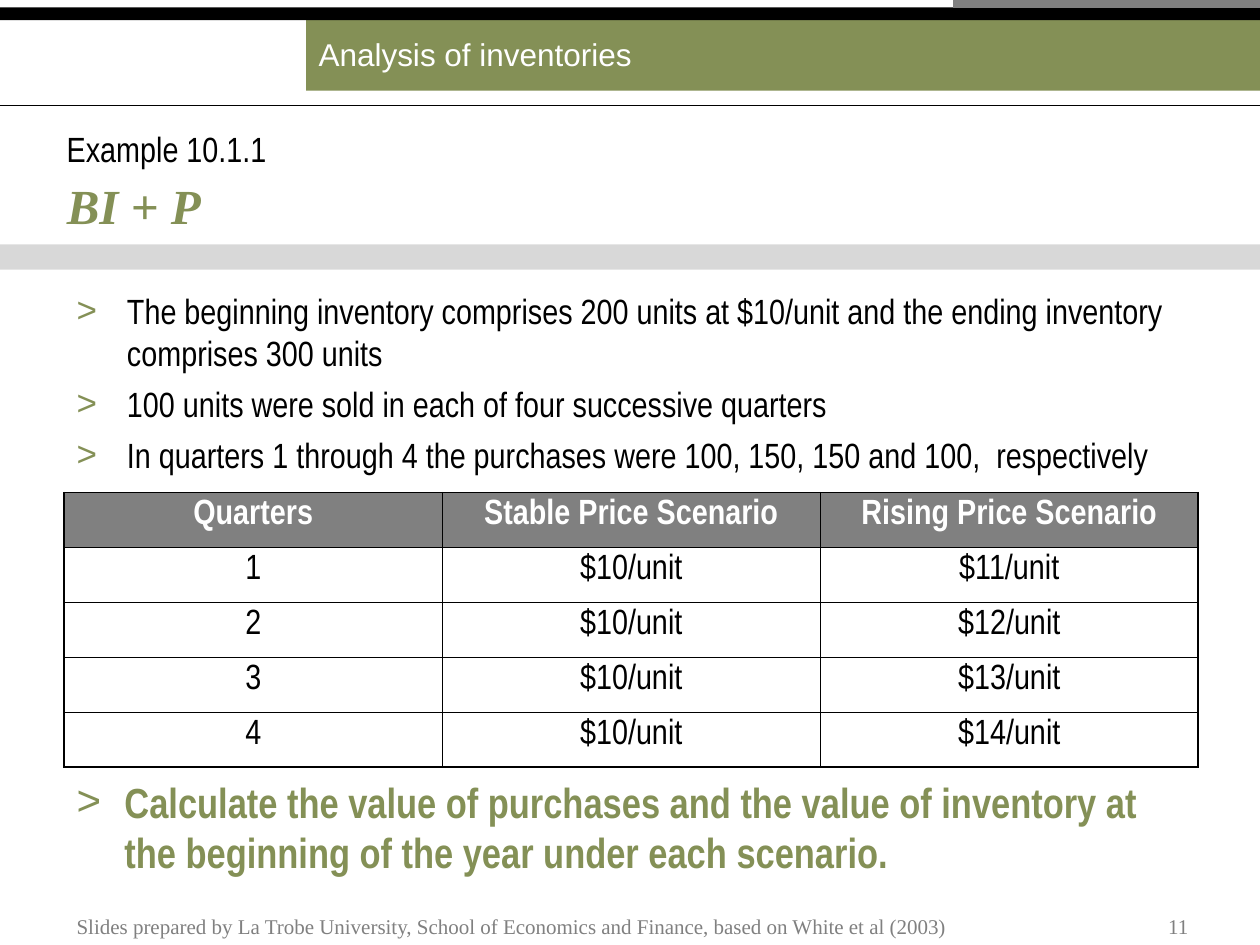
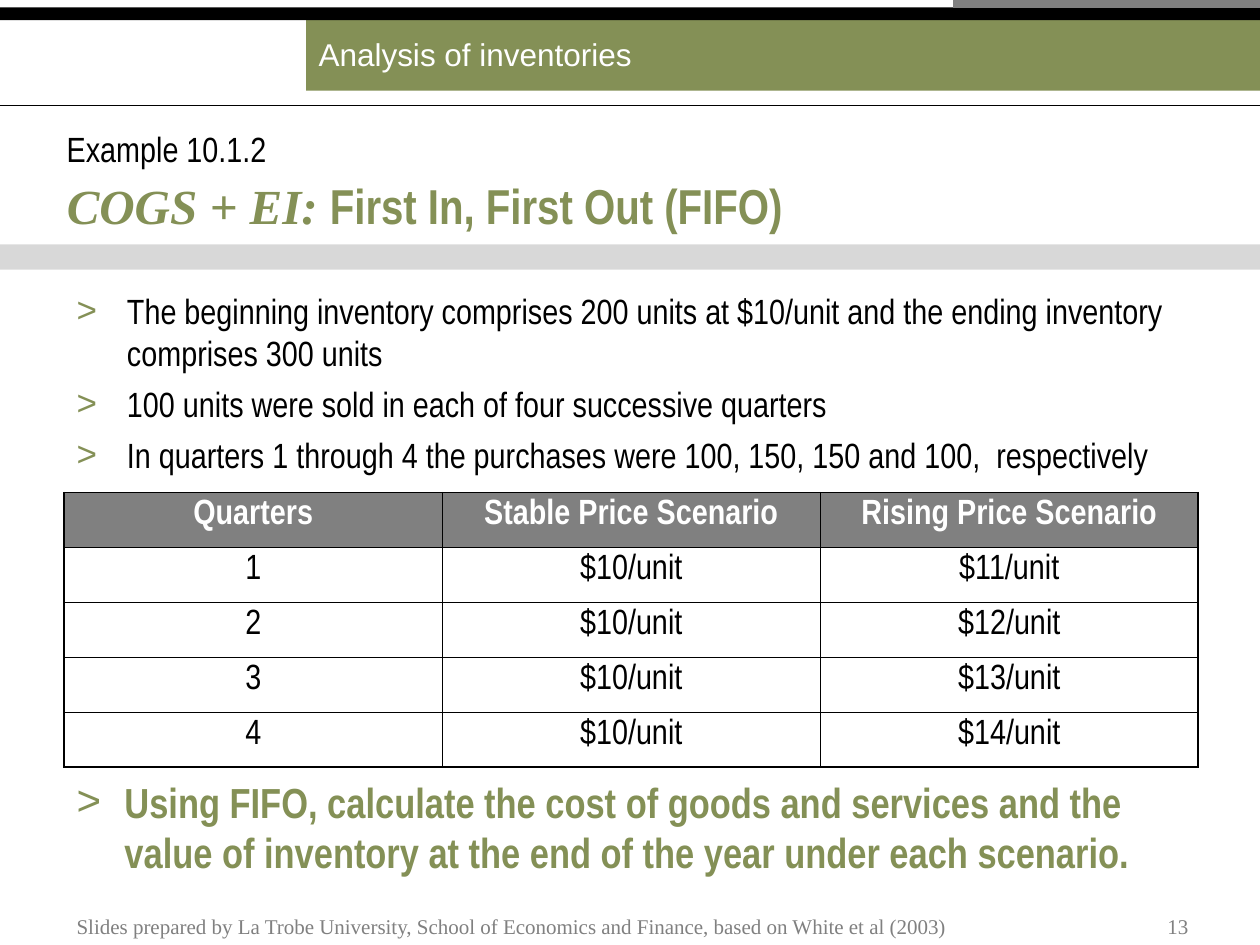
from dataclasses import dataclass

from lxml import etree
from pptx import Presentation
from pptx import util as u
from pptx.dml.color import RGBColor
from pptx.enum import shapes, text
from pptx.oxml import ns

# Content
HEADER = "Analysis of inventories"
FOOTER = ("Slides prepared by La Trobe University, School of Economics and "
          "Finance, based on White et al (2003)")
FACTS = [
    "The beginning inventory comprises 200 units at $10/unit and the ending "
    "inventory comprises 300 units",
    "100 units were sold in each of four successive quarters",
    "In quarters 1 through 4 the purchases were 100, 150, 150 and 100,  respectively",
]
PRICES = [
    ("Quarters", "Stable Price Scenario", "Rising Price Scenario"),
    ("1", "$10/unit", "$11/unit"),
    ("2", "$10/unit", "$12/unit"),
    ("3", "$10/unit", "$13/unit"),
    ("4", "$10/unit", "$14/unit"),
]
# Title runs are (words, style name)
EXAMPLES = [
    dict(label="Example 10.1.1", title=[("BI + P", "formula")], number="11",
         question="Calculate the value of purchases and the value of inventory "
                  "at the beginning of the year under each scenario."),
    dict(label="Example 10.1.2", number="13",
         title=[("COGS + EI: ", "formula"), ("First In, First Out (FIFO)", "title")],
         question="Using FIFO, calculate the cost of goods and services and the "
                  "value of inventory at the end of the year under each scenario."),
]


# Theme
@dataclass
class Style:
    size: int
    font: str
    color: str
    bold: bool = False
    italic: bool = False


class Theme:
    green, gray, black, white = "849056", "808080", "000000", "FFFFFF"
    narrow, serif = "Arial Narrow", "Times New Roman"
    outer, inner = 1.08, 0.45
    space = 5
    left, width = 0.51, 9
    styles = dict(
        header=Style(18, "Arial", white),
        body=Style(20, narrow, black),
        table_head=Style(20, narrow, white, bold=True),
        title=Style(28, narrow, green, bold=True),
        formula=Style(28, serif, green, bold=True, italic=True),
        question=Style(24, narrow, green, bold=True),
        footer=Style(12, serif, gray),
    )


def rgb(color):
    return RGBColor.from_string(color)


def box(*inches):
    return [u.Inches(value) for value in inches]


# Text
def add_runs(p, runs):
    for words, name in runs:
        style = Theme.styles[name]
        r = p.add_run()
        r.text = words
        r.font.size, r.font.name = u.Pt(style.size), style.font
        r.font.bold, r.font.italic = style.bold, style.italic
        r.font.color.rgb = rgb(style.color)


def set_frame(tf, anchor, margins=(0.1, 0.05)):
    tf.word_wrap = True
    tf.auto_size = text.MSO_AUTO_SIZE.NONE
    tf.vertical_anchor = anchor
    tf.margin_left = tf.margin_right = u.Inches(margins[0])
    tf.margin_top = tf.margin_bottom = u.Inches(margins[1])


def add_text(s, at, words, style, anchor=text.MSO_ANCHOR.TOP,
             align=text.PP_ALIGN.LEFT, margins=(0.1, 0.05)):
    tf = s.shapes.add_textbox(*box(*at)).text_frame
    set_frame(tf, anchor, margins)
    p = tf.paragraphs[0]
    p.alignment = align
    add_runs(p, [(words, style)])


def add_bullets(s, at, items, style, indent):
    tf = s.shapes.add_textbox(*box(*at)).text_frame
    set_frame(tf, text.MSO_ANCHOR.TOP)
    for i, words in enumerate(items):
        p = tf.add_paragraph() if i else tf.paragraphs[0]
        pPr = p._p.get_or_add_pPr()
        pPr.set("marL", str(u.Inches(indent)))
        pPr.set("indent", str(-u.Inches(indent)))
        color = etree.SubElement(pPr, ns.qn("a:buClr"))
        etree.SubElement(color, ns.qn("a:srgbClr"), val=Theme.green)
        etree.SubElement(pPr, ns.qn("a:buFont"), typeface="Arial")
        etree.SubElement(pPr, ns.qn("a:buChar"), char=">")
        if i:
            p.space_before = u.Pt(Theme.space)
        add_runs(p, [(words, style)])


# Shared bands, rules and footer
def add_band(s, at, color, alpha=None):
    sp = s.shapes.add_shape(shapes.MSO_SHAPE.RECTANGLE, *box(*at))
    sp.shadow.inherit = False
    sp.fill.solid()
    sp.fill.fore_color.rgb = rgb(color)
    sp.line.fill.background()
    if alpha:
        fill = sp._element.spPr.find(ns.qn("a:solidFill"))
        etree.SubElement(fill[0], ns.qn("a:alpha"), val=str(alpha * 1000))
    return sp


def add_rule(s, left, y, color, weight):
    line = s.shapes.add_connector(shapes.MSO_CONNECTOR.STRAIGHT, *box(left, y, 10, y))
    line.line.color.rgb = rgb(color)
    line.line.width = u.Pt(weight)
    etree.SubElement(line._element.spPr, ns.qn("a:effectLst"))


def add_frame(s, number):
    add_band(s, (0, 1.94, 10, 0.2), Theme.gray, alpha=30)
    tf = add_band(s, (2.43, 0.13, 7.57, 0.59), Theme.green).text_frame
    set_frame(tf, text.MSO_ANCHOR.MIDDLE)
    tf.paragraphs[0].alignment = text.PP_ALIGN.LEFT
    add_runs(tf.paragraphs[0], [(HEADER, "header")])
    add_band(s, (0, 0.06, 10, 0.1), Theme.black)
    add_rule(s, 7.56, 0.03, Theme.gray, 5)
    add_rule(s, 0, 0.84, Theme.black, 0.75)
    bottom = text.MSO_ANCHOR.BOTTOM
    add_text(s, (Theme.left, 7.06, 8.27, 0.44), FOOTER, "footer", bottom)
    add_text(s, (8.83, 7.14, 0.7, 0.36), number, "footer", bottom, text.PP_ALIGN.RIGHT)


# Heading
def add_heading(s, label, title):
    sp = s.shapes.title
    sp.left, sp.top, sp.width, sp.height = box(Theme.left, 1.47, 9.06, 0.31)
    set_frame(sp.text_frame, text.MSO_ANCHOR.MIDDLE, (0.02, 0))
    p = sp.text_frame.paragraphs[0]
    p.alignment = text.PP_ALIGN.LEFT
    add_runs(p, title)
    add_text(s, (Theme.left, 1.06, 9.06, 0.24), label, "body",
             text.MSO_ANCHOR.MIDDLE, margins=(0.02, 0))


# Price table
def set_borders(cell, outer_sides):
    tcPr = cell._tc.get_or_add_tcPr()
    for side in "LRTB":
        weight = Theme.outer if side in outer_sides else Theme.inner
        line = etree.SubElement(tcPr, ns.qn("a:ln" + side), w=str(u.Pt(weight)))
        fill = etree.SubElement(line, ns.qn("a:solidFill"))
        etree.SubElement(fill, ns.qn("a:srgbClr"), val=Theme.black)


def add_prices(s):
    n_rows, n_cols = len(PRICES), len(PRICES[0])
    table = s.shapes.add_table(
        n_rows, n_cols, *box(Theme.left, 3.91, Theme.width, 2.18)).table
    table.first_row = table.horz_banding = False
    for i, row in enumerate(PRICES):
        for j, words in enumerate(row):
            cell = table.cell(i, j)
            edges = {"T": i == 0, "B": i == n_rows - 1, "L": j == 0, "R": j == n_cols - 1}
            set_borders(cell, [side for side, at_edge in edges.items() if at_edge])
            if i == 0:
                cell.fill.solid()
                cell.fill.fore_color.rgb = rgb(Theme.gray)
            else:
                cell.fill.background()
            p = cell.text_frame.paragraphs[0]
            p.alignment = text.PP_ALIGN.CENTER
            add_runs(p, [(words, "body" if i else "table_head")])


def main():
    prs = Presentation()
    prs.slide_width, prs.slide_height = box(10, 7.5)
    title_only = prs.slide_layouts[5]
    for example in EXAMPLES:
        s = prs.slides.add_slide(title_only)
        add_frame(s, example["number"])
        add_heading(s, example["label"], example["title"])
        add_bullets(s, (Theme.left, 2.25, Theme.width, 1.65), FACTS, "body", 0.4)
        add_prices(s)
        add_bullets(s, (Theme.left, 6.11, Theme.width, 0.94),
                    [example["question"]], "question", 0.38)
    prs.save("out.pptx")


if __name__ == "__main__":
    main()
